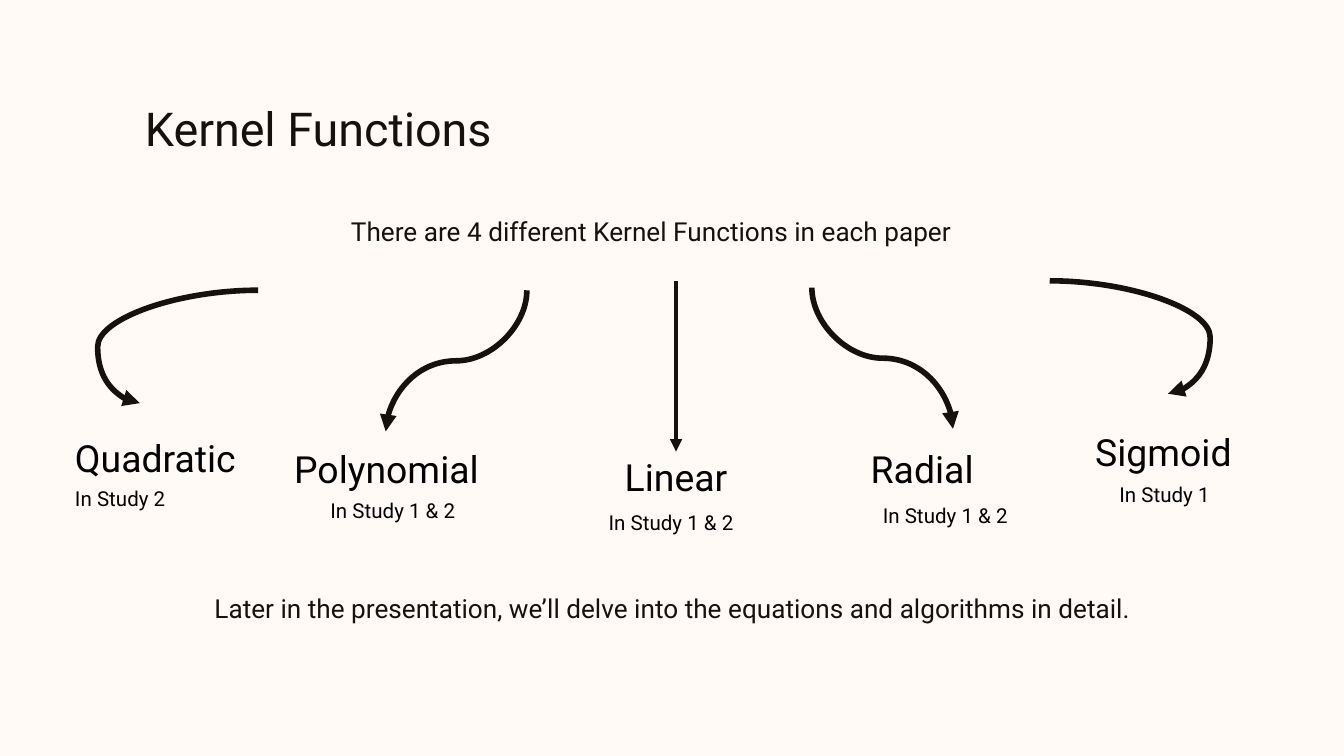
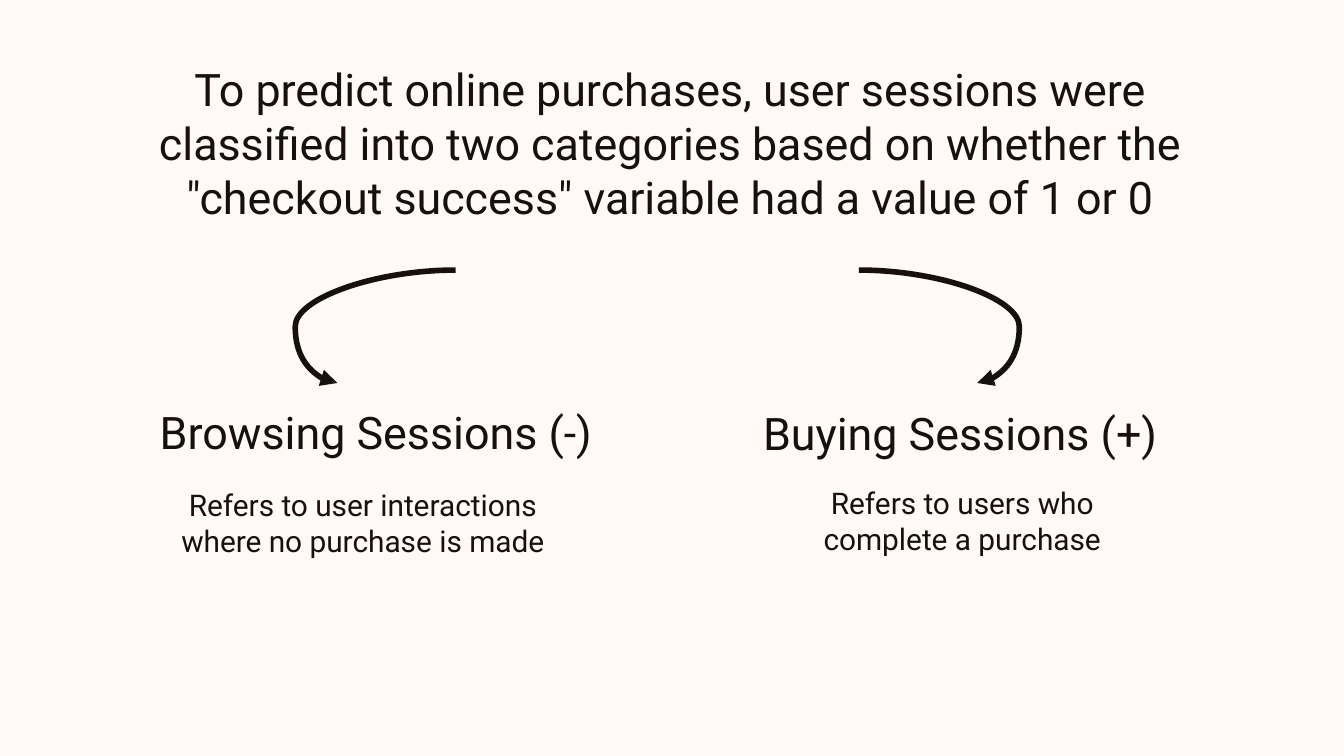
from dataclasses import dataclass

from lxml import etree
from pptx import Presentation
from pptx.dml.color import RGBColor
from pptx.enum.shapes import MSO_CONNECTOR
from pptx.enum.text import MSO_ANCHOR, PP_ALIGN
from pptx.oxml.ns import qn
from pptx.slide import Slide
from pptx.util import Pt

# Shared scale, colours and text styles
PX = 9144  # 100 px to the inch
WIDE = 1000 * PX
HIGH = WIDE * 9 // 16
INK = RGBColor(0x15, 0x11, 0x0E)
BLACK = RGBColor(0, 0, 0)
CREAM = RGBColor(0xFF, 0xFA, 0xF6)
FONT = "Roboto"
LEFT, CENTER = PP_ALIGN.LEFT, PP_ALIGN.CENTER
TOP, BOTTOM = MSO_ANCHOR.TOP, MSO_ANCHOR.BOTTOM
CURVE, STRAIGHT = MSO_CONNECTOR.CURVE, MSO_CONNECTOR.STRAIGHT


@dataclass(frozen=True)
class Style:
    size: int
    color: RGBColor = INK
    anchor: MSO_ANCHOR = TOP
    align: PP_ALIGN = LEFT


TITLE = Style(25)
BODY = Style(14, align=CENTER)
NAME = Style(20, BLACK, BOTTOM)
MID = Style(20, BLACK, BOTTOM, CENTER)
STUDY = Style(11, BLACK, BOTTOM)
LEAD = Style(24, align=CENTER)
HEAD = Style(24, anchor=BOTTOM)
NOTE = Style(16, align=CENTER)


@dataclass(frozen=True)
class Label:
    text: str
    left: int
    top: int
    width: int
    height: int
    style: Style


@dataclass(frozen=True)
class Bend:
    """A curved arrow: box size, turn in degrees, flips and bulge."""
    width: int
    height: int
    turn: int
    flips: tuple[str, ...]
    bulge: int


HOOK_L = Bend(88, 84, 180, ("flipV",), 135700)
HOOK_R = Bend(88, 84, 180, ("flipH", "flipV"), 135700)
WAVE_L = Bend(105, 105, 90, (), 50000)
WAVE_R = Bend(105, 105, 270, ("flipH",), 50000)


@dataclass(frozen=True)
class Arrow:
    left: int
    top: int
    bend: Bend


@dataclass(frozen=True)
class Kernel:
    name: str
    spot: tuple[int, int, int, int]
    study: str
    left: int
    top: int
    style: Style = NAME


# Slide content
KERNELS = [
    Kernel("Quadratic", (46, 301, 164, 66), "In Study 2", 46, 354),
    Kernel("Polynomial", (209, 314, 198, 61), "In Study 1 & 2", 236, 363),
    Kernel("Linear", (404, 320, 198, 61), "In Study 1 & 2", 443, 372, MID),
    Kernel("Radial", (638, 314, 198, 61), "In Study 1 & 2", 647, 367),
    Kernel("Sigmoid", (805, 300, 141, 63), "In Study 1", 823, 351),
]
KERNEL_TEXT = [
    Label("Kernel Functions", 98, 64, 422, 66, TITLE),
    Label("There are 4 different Kernel Functions in each paper",
          169, 150, 631, 66, BODY),
    Label("Later in the presentation, we’ll delve into the equations "
          "and algorithms in detail.", 112, 431, 777, 66, BODY),
]
KERNEL_ARROWS = [
    Arrow(104, 216, HOOK_L), Arrow(781, 209, HOOK_R),
    Arrow(287, 216, WAVE_L), Arrow(604, 214, WAVE_R),
]
SESSION_TEXT = [
    Label("To predict online purchases, user sessions were classified into "
          "two categories based on whether the \"checkout success\" variable "
          "had a value of 1 or 0", 68, 36, 861, 88, LEAD),
    Label("Browsing Sessions (-)", 109, 285, 393, 66, HEAD),
    Label("Buying Sessions (+)", 558, 284, 366, 68, HEAD),
    Label("Refers to user interactions where no purchase is made",
          123, 352, 294, 159, NOTE),
    Label("Refers to users who complete a purchase",
          569, 351, 294, 159, NOTE),
]
SESSION_ARROWS = [Arrow(251, 201, HOOK_L), Arrow(639, 201, HOOK_R)]


# Drawing
def put(target: object, values: dict[str, object]) -> None:
    for key, value in values.items():
        setattr(target, key, value)


def write(slide: Slide, label: Label) -> None:
    spot = (label.left, label.top, label.width, label.height)
    frame = slide.shapes.add_textbox(*(n * PX for n in spot)).text_frame
    style, pad = label.style, 10 * PX
    put(frame, {"word_wrap": True, "vertical_anchor": style.anchor,
                "margin_left": pad, "margin_right": pad,
                "margin_top": pad, "margin_bottom": pad})
    para = frame.paragraphs[0]
    para.alignment = style.align
    run = para.add_run()
    run.text = label.text
    put(run.font, {"name": FONT, "size": Pt(style.size)})
    run.font.color.rgb = style.color


def link(slide: Slide, kind: MSO_CONNECTOR, left: int, top: int,
         width: int, height: int, weight: float) -> etree._Element:
    """Draw an arrow and give back its shape properties."""
    ends = (left, top, left + width, top + height)
    line = slide.shapes.add_connector(kind, *(n * PX for n in ends))
    line.line.width = Pt(weight)
    line.line.color.rgb = INK
    props = line._element.spPr
    tail = etree.SubElement(props.find(qn("a:ln")), qn("a:tailEnd"))
    tail.set("type", "triangle")
    etree.SubElement(props, qn("a:effectLst"))
    return props


def curve(slide: Slide, arrow: Arrow) -> None:
    bend = arrow.bend
    props = link(slide, CURVE, arrow.left, arrow.top,
                 bend.width, bend.height, 3)
    frame = props.find(qn("a:xfrm"))
    frame.set("rot", str(bend.turn * 60000))
    for flip in bend.flips:
        frame.set(flip, "1")
    guide = etree.SubElement(props.find(".//" + qn("a:avLst")), qn("a:gd"))
    guide.set("name", "adj1")
    guide.set("fmla", f"val {bend.bulge}")


def page(deck: Presentation, labels: list[Label],
         arrows: list[Arrow]) -> Slide:
    slide = deck.slides.add_slide(deck.slide_layouts[6])
    fill = slide.background.fill
    fill.solid()
    fill.fore_color.rgb = CREAM
    for arrow in arrows:
        curve(slide, arrow)
    for label in labels:
        write(slide, label)
    return slide


def main() -> None:
    deck = Presentation()
    put(deck, {"slide_width": WIDE, "slide_height": HIGH})

    # Kernel functions
    slide = page(deck, KERNEL_TEXT, KERNEL_ARROWS)
    link(slide, STRAIGHT, 503, 209, 0, 127, 2.25)
    for item in KERNELS:
        write(slide, Label(item.name, *item.spot, item.style))
        write(slide, Label(item.study, item.left, item.top, 123, 35, STUDY))

    # Session classes
    page(deck, SESSION_TEXT, SESSION_ARROWS)
    deck.save("out.pptx")


if __name__ == "__main__":
    main()
